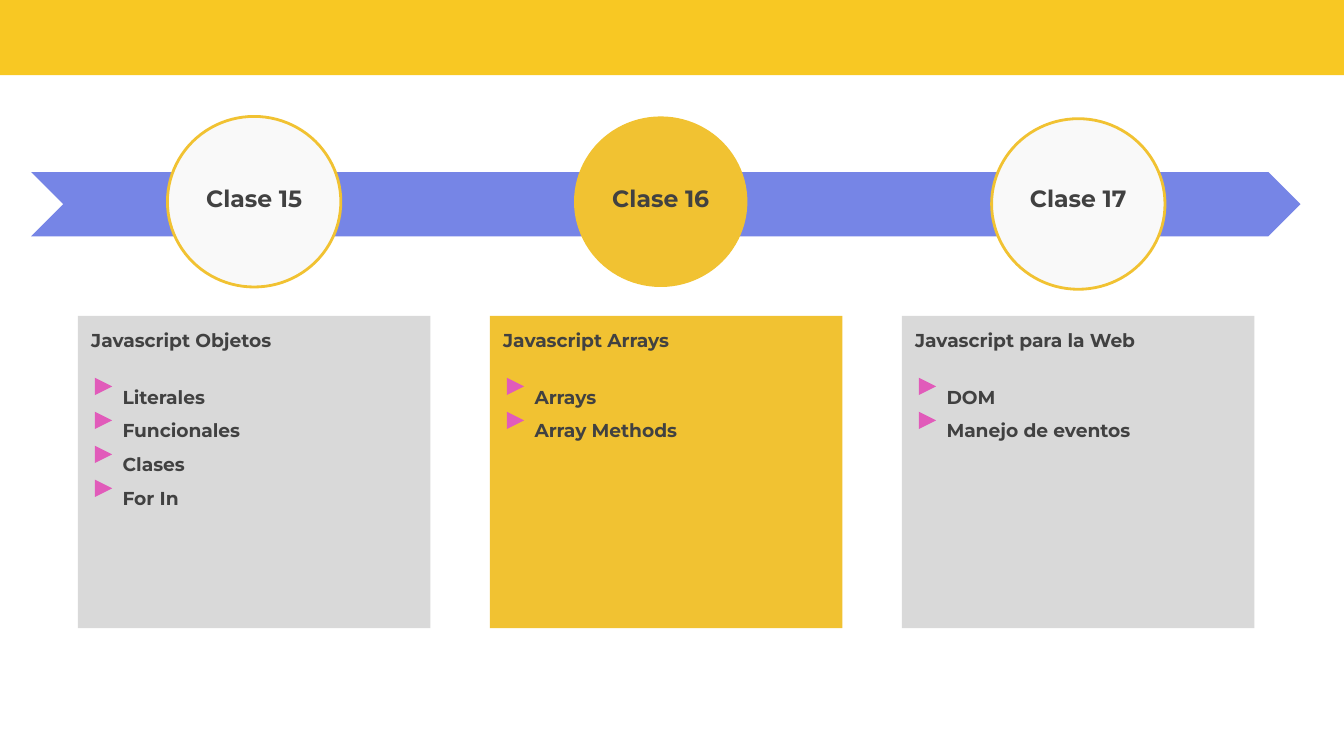
from typing import NamedTuple

from pptx import Presentation
from pptx.dml.color import RGBColor
from pptx.enum.shapes import MSO_SHAPE
from pptx.enum.text import MSO_ANCHOR, MSO_AUTO_SIZE, PP_ALIGN
from pptx.util import Pt

YELLOW = RGBColor(0xF8, 0xC8, 0x23)
GOLD = RGBColor(0xF1, 0xC2, 0x32)
BLUE = RGBColor(0x76, 0x85, 0xE6)
PINK = RGBColor(0xE1, 0x5B, 0xBA)
GREY = RGBColor(0xD9, 0xD9, 0xD9)
OFF_WHITE = RGBColor(0xF9, 0xF9, 0xF9)
INK = RGBColor(0x41, 0x41, 0x41)
FONT = "Montserrat"

PANEL_LEFT, PANEL_STEP = 41.8, 220.7
PANEL_TOP, PANEL_WIDTH, PANEL_HEIGHT = 169.2, 188.8, 167.4
CIRCLE_WIDTH, CIRCLE_HEIGHT = 92.9, 91.4
LABEL_TOP, LABEL_WIDTH, LABEL_HEIGHT = 91.4, 86, 24
MARKER_SIZE, MARKER_INSET, MARKER_TOP = 9.3, 9, 202.4
ITEM_STEP, ITEM_INDENT = 18.2, 16.8
INSET = 7.2


class Lesson(NamedTuple):
    label: str
    topic: str
    items: tuple[str, ...]
    circle_left: float
    circle_top: float
    current: bool = False


LESSONS = (
    Lesson("Clase 15", "Javascript Objetos",
           ("Literales", "Funcionales", "Clases", "For In"), 89.7, 62.4),
    Lesson("Clase 16", "Javascript Arrays",
           ("Arrays", "Array Methods"), 307.5, 62.4, current=True),
    Lesson("Clase 17", "Javascript para la Web",
           ("DOM", "Manejo de eventos"), 531.2, 63.6),
)


def add_filled(slide, kind: MSO_SHAPE, left: float, top: float,
               width: float, height: float, color: RGBColor):
    shape = slide.shapes.add_shape(kind, Pt(left), Pt(top), Pt(width), Pt(height))
    shape.shadow.inherit = False
    shape.fill.solid()
    shape.fill.fore_color.rgb = color
    shape.line.fill.background()
    return shape


def prepare_frame(frame) -> None:
    frame.word_wrap = True
    frame.auto_size = MSO_AUTO_SIZE.NONE
    frame.vertical_anchor = MSO_ANCHOR.TOP
    frame.margin_left = frame.margin_right = Pt(INSET)
    frame.margin_top = frame.margin_bottom = Pt(INSET)


def write(paragraph, text: str, size: float) -> None:
    paragraph.text = text
    paragraph.font.name = FONT
    paragraph.font.size = Pt(size)
    paragraph.font.bold = True
    paragraph.font.color.rgb = INK


def add_circle(slide, lesson: Lesson) -> None:
    circle = add_filled(slide, MSO_SHAPE.OVAL, lesson.circle_left, lesson.circle_top,
                        CIRCLE_WIDTH, CIRCLE_HEIGHT,
                        GOLD if lesson.current else OFF_WHITE)
    if not lesson.current:
        circle.line.color.rgb = GOLD
        circle.line.width = Pt(1.5)


def add_label(slide, lesson: Lesson) -> None:
    """Label the circle; the current lesson is the slide title."""
    left = lesson.circle_left + (CIRCLE_WIDTH - LABEL_WIDTH) / 2
    if lesson.current:
        label = slide.shapes.title
        label.left, label.top = Pt(left), Pt(LABEL_TOP)
        label.width, label.height = Pt(LABEL_WIDTH), Pt(LABEL_HEIGHT)
        slide.shapes._spTree.append(label._element)  # bring above the circle
    else:
        label = slide.shapes.add_textbox(Pt(left), Pt(LABEL_TOP),
                                         Pt(LABEL_WIDTH), Pt(LABEL_HEIGHT))
    prepare_frame(label.text_frame)
    paragraph = label.text_frame.paragraphs[0]
    write(paragraph, lesson.label, 12.6)
    paragraph.alignment = PP_ALIGN.CENTER


def add_panel(slide, lesson: Lesson, left: float) -> None:
    panel = add_filled(slide, MSO_SHAPE.RECTANGLE, left, PANEL_TOP, PANEL_WIDTH,
                       PANEL_HEIGHT, GOLD if lesson.current else GREY)
    frame = panel.text_frame
    prepare_frame(frame)
    heading = frame.paragraphs[0]
    write(heading, lesson.topic, 10)
    heading.alignment = PP_ALIGN.LEFT
    heading.space_after = Pt(12.2)
    for row, text in enumerate(lesson.items):
        item = frame.add_paragraph()
        write(item, text, 10)
        item.alignment = PP_ALIGN.LEFT
        item.line_spacing = 1.5
        item._p.get_or_add_pPr().set("marL", str(Pt(ITEM_INDENT)))
        marker = add_filled(slide, MSO_SHAPE.ISOSCELES_TRIANGLE, left + MARKER_INSET,
                            MARKER_TOP + row * ITEM_STEP, MARKER_SIZE, MARKER_SIZE, PINK)
        marker.rotation = 90


def main() -> None:
    presentation = Presentation()
    presentation.slide_width, presentation.slide_height = Pt(720), Pt(405)
    slide = presentation.slides.add_slide(presentation.slide_layouts[5])

    add_filled(slide, MSO_SHAPE.RECTANGLE, 0, 0, 720, 40.3, YELLOW)
    add_filled(slide, MSO_SHAPE.CHEVRON, 16.7, 92.2, 680, 34.4, BLUE)
    for column, lesson in enumerate(LESSONS):
        add_circle(slide, lesson)
        add_label(slide, lesson)
        add_panel(slide, lesson, PANEL_LEFT + column * PANEL_STEP)

    presentation.save("out.pptx")


if __name__ == "__main__":
    main()
